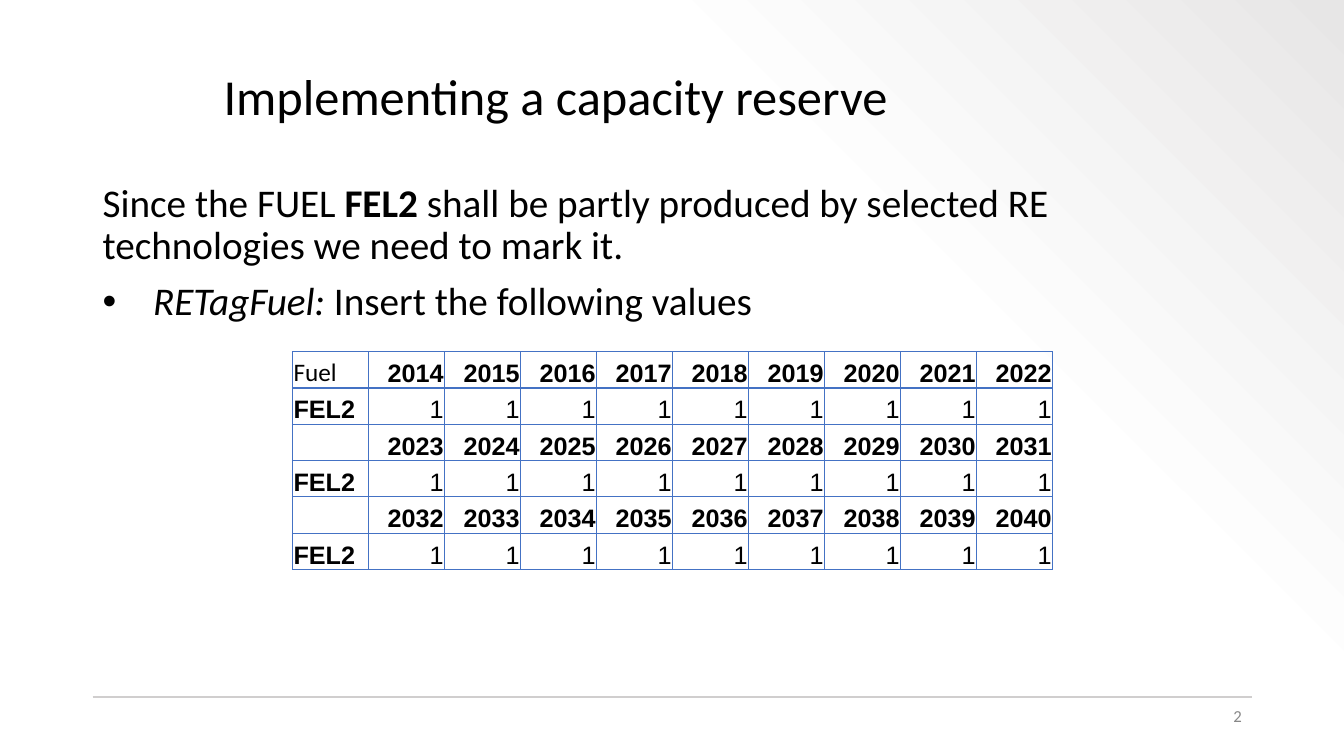
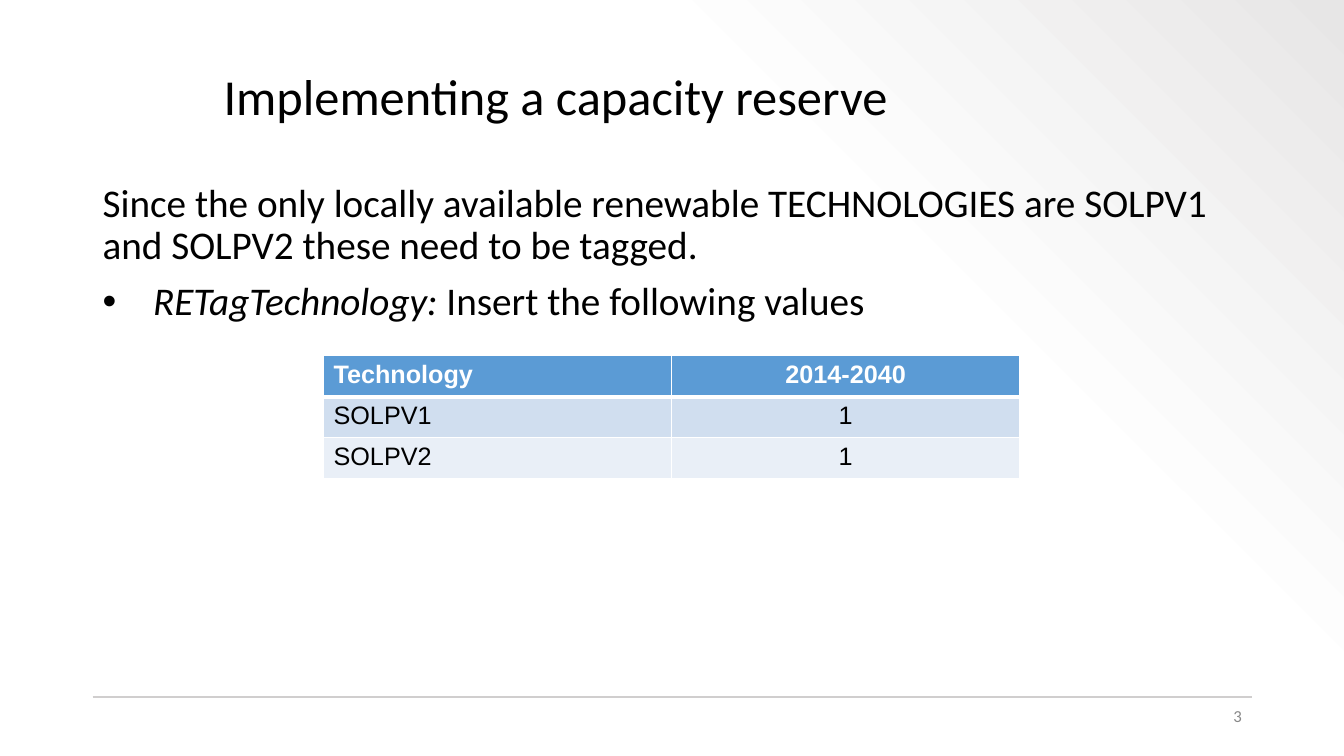
"""Build two slides on tagging renewable fuels and technologies for a capacity reserve."""
from dataclasses import dataclass

from lxml import etree
from pptx import Presentation
from pptx.dml.color import RGBColor as RGB
from pptx.enum.shapes import MSO_CONNECTOR as CONN
from pptx.enum.text import MSO_ANCHOR as ANCHOR, PP_ALIGN as ALIGN
from pptx.oxml import parse_xml
from pptx.oxml.ns import nsdecls, qn
from pptx.util import Pt


@dataclass(frozen=True)
class Theme:
    text: str = "000000"
    white: str = "FFFFFF"
    near_white: str = "FDFDFD"
    corner: str = "E7E6E6"
    rule: str = "D0CECE"
    number: str = "888888"
    grid: str = "4472C4"
    header: str = "5B9BD5"
    bands: tuple = ("D0DEEF", "E9EFF7")
    font: str = "Calibri"
    table_font: str = "Arial"
    title_size: int = 36
    body_size: int = 28
    table_size: int = 18
    number_size: int = 12


T = Theme()


def write(tf, *runs, size=T.body_size, font=T.font, color=T.text, bold=False,
          align=ALIGN.LEFT, spacing=None, before=None, bullet=False):
    """Add one paragraph; a run is a string or a (text, "b" or "i") pair."""
    p = tf.paragraphs[0]
    if p.runs:
        p = tf.add_paragraph()
    if bullet:
        pPr = p._p.get_or_add_pPr()
        pPr.set("marL", str(Pt(36)))
        pPr.set("indent", str(-Pt(36)))
        clr = etree.SubElement(pPr, qn("a:buClr"))
        etree.SubElement(clr, qn("a:srgbClr"), val=color)
        etree.SubElement(pPr, qn("a:buFont"), typeface="Arial")
        etree.SubElement(pPr, qn("a:buChar"), char="•")
    p.alignment = align
    if spacing:
        p.line_spacing = spacing
    if before:
        p.space_before = Pt(before)
    for run in runs:
        text, style = (run, "") if isinstance(run, str) else run
        r = p.add_run()
        r.text = text
        r.font.size, r.font.name = Pt(size), font
        r.font.color.rgb = RGB.from_string(color)
        r.font.bold = bold or style == "b"
        r.font.italic = style == "i"


def style_cell(cell, border, widths, fill=None, margins=(7.2, 3.6, 7.2, 3.6),
               anchor=ANCHOR.TOP):
    """Set the borders (left, right, top, bottom), fill, margins and anchor of a cell."""
    tcPr = cell._tc.get_or_add_tcPr()
    for side, width in zip("LRTB", widths):
        ln = etree.SubElement(tcPr, qn(f"a:ln{side}"), w=str(Pt(width)))
        solid = etree.SubElement(ln, qn("a:solidFill"))
        etree.SubElement(solid, qn("a:srgbClr"), val=border)
    if fill:
        cell.fill.solid()
        cell.fill.fore_color.rgb = RGB.from_string(fill)
    else:
        cell.fill.background()
    cell.margin_left, cell.margin_top, cell.margin_right, cell.margin_bottom = map(Pt, margins)
    cell.vertical_anchor = anchor


fuel_rows = []
for start in (2014, 2023, 2032):
    fuel_rows.append(["" if fuel_rows else "Fuel"] + [str(start + i) for i in range(9)])
    fuel_rows.append(["FEL2"] + ["1"] * 9)
technology_rows = [["Technology", "2014-2040"], ["SOLPV1", "1"], ["SOLPV2", "1"]]

contents = [
    (["Since the FUEL ", ("FEL2 ", "b"),
      "shall be partly produced by selected RE technologies we need to mark it."],
     "RETagFuel: ", fuel_rows, (209, 251.3, 542.9, 155.52)),
    (["Since the only locally available renewable TECHNOLOGIES are SOLPV1 "
      "and SOLPV2 these need to be tagged."],
     "RETagTechnology: ", technology_rows, (231.1, 254.2, 497.2, 87.84)),
]

prs = Presentation()
prs.slide_width, prs.slide_height = Pt(960), Pt(540)

fill = prs.slide_master.background.fill
fill.gradient()
fill.gradient_angle = 45
gs_lst = next(prs.slide_master.element.iter(qn("a:gsLst")))
gs_lst.getparent().replace(gs_lst, parse_xml(
    f'<a:gsLst {nsdecls("a")}>'
    f'<a:gs pos="0"><a:srgbClr val="{T.white}"/></a:gs>'
    f'<a:gs pos="69000"><a:srgbClr val="{T.near_white}"/></a:gs>'
    f'<a:gs pos="100000"><a:srgbClr val="{T.corner}"><a:alpha val="50000"/></a:srgbClr></a:gs>'
    '</a:gsLst>'))

tables = []
for number, (intro, parameter, rows, frame) in enumerate(contents, 2):
    s = prs.slides.add_slide(prs.slide_layouts[6])
    rule = s.shapes.add_connector(CONN.STRAIGHT, Pt(66.24), Pt(498), Pt(894.24), Pt(498))
    rule.line.color.rgb = RGB.from_string(T.rule)
    rule.line.width = Pt(1.5)
    etree.SubElement(rule._element.spPr, qn("a:effectLst"))

    boxes = []
    for box in ((66.24, 127.44, 828, 358.56), (152.64, 26.64, 741.6, 87.84),
                (800.64, 500.4, 93.6, 28.8)):
        tf = s.shapes.add_textbox(*map(Pt, box)).text_frame
        tf.word_wrap = True
        boxes.append(tf)
    body, title, page = boxes
    write(body, *intro, spacing=0.9)
    write(body, (parameter, "i"), "Insert the following values",
          spacing=0.9, before=10, bullet=True)
    title.vertical_anchor = ANCHOR.MIDDLE
    write(title, "Implementing a capacity reserve", size=T.title_size, spacing=0.9)
    write(page, str(number), size=T.number_size, color=T.number, align=ALIGN.RIGHT)

    table = s.shapes.add_table(len(rows), len(rows[0]), *map(Pt, frame)).table
    table.first_row = table.horz_banding = False
    tables.append(table)

fuel_table, technology_table = tables

for i, row in enumerate(fuel_rows):
    for j, text in enumerate(row):
        cell = fuel_table.cell(i, j)
        style_cell(cell, T.grid, (1, 1, 1, 1), margins=(0.72, 0.72, 0.72, 0),
                   anchor=ANCHOR.BOTTOM)
        corner = i == j == 0
        write(cell.text_frame, text, size=T.table_size,
              font=T.font if corner else T.table_font,
              bold=not corner and (i % 2 == 0 or j == 0),
              align=ALIGN.RIGHT if j else ALIGN.LEFT)

for i, row in enumerate(technology_rows):
    for j, text in enumerate(row):
        cell = technology_table.cell(i, j)
        head = i == 0
        style_cell(cell, T.white, (1, 1, 3 if i == 1 else 1, 3 if head else 1),
                   fill=T.header if head else T.bands[i - 1])
        write(cell.text_frame, text, size=T.table_size, font=T.table_font, bold=head,
              color=T.white if head else T.text,
              align=ALIGN.CENTER if j else ALIGN.LEFT)

prs.save("out.pptx")
